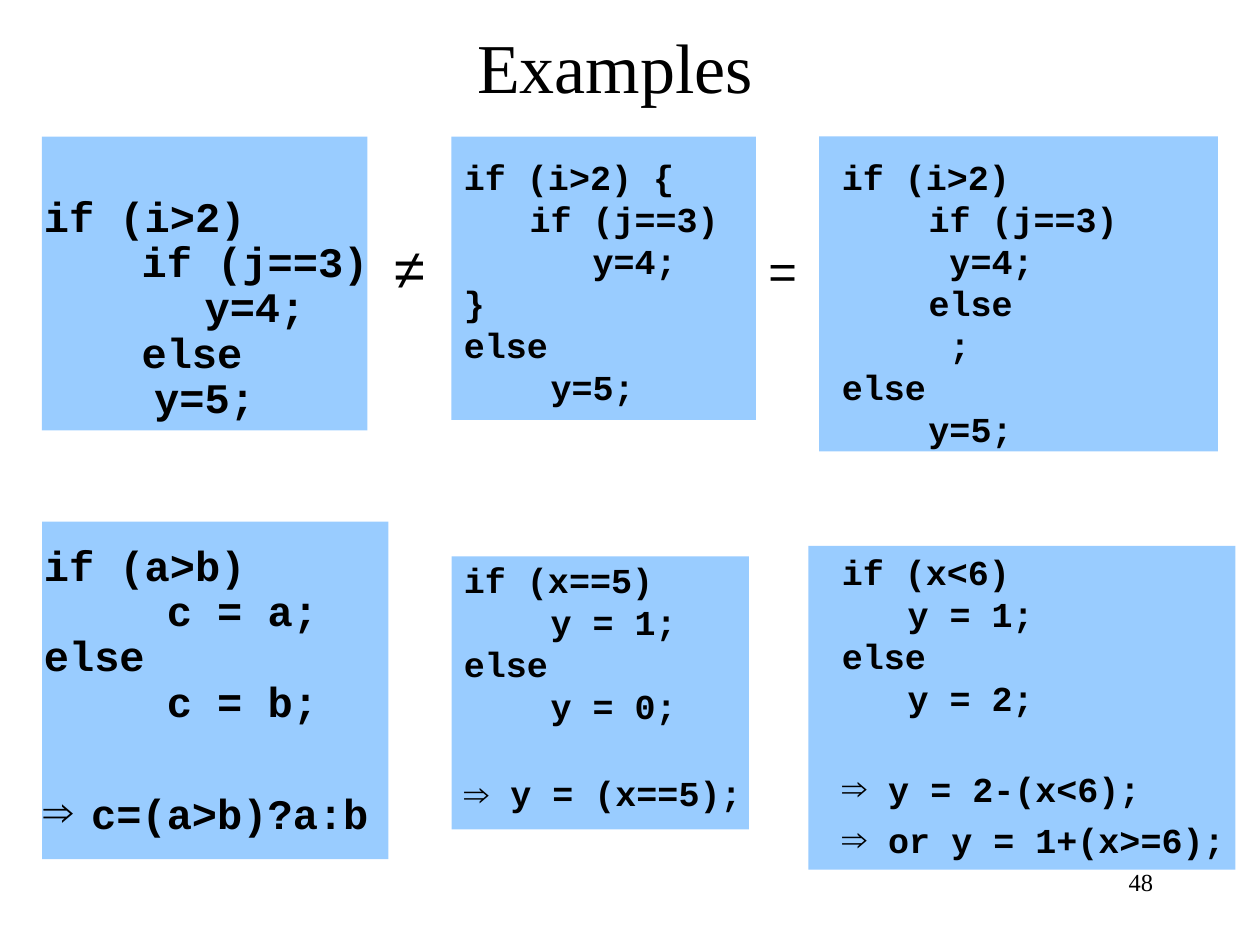
from dataclasses import dataclass

from lxml.etree import SubElement
from pptx import Presentation
from pptx.dml.color import RGBColor
from pptx.enum.shapes import MSO_SHAPE
from pptx.enum.text import MSO_ANCHOR, PP_ALIGN
from pptx.oxml.ns import qn
from pptx.slide import Slide
from pptx.text.text import Font, TextFrame
from pptx.util import Pt

BLACK = RGBColor(0x00, 0x00, 0x00)
PANEL_BLUE = RGBColor(0x99, 0xCC, 0xFF)
CODE_FONT = "Courier New"
SYMBOL_FONT = "Arial"
TITLE_FONT = "Times New Roman"
ARROW = "⇒"
TAB_STEP = 72


@dataclass(frozen=True)
class Area:
    left: float
    top: float
    width: float
    height: float


@dataclass(frozen=True)
class CodeStyle:
    size: float
    line: float
    indent: float
    gap: float


@dataclass(frozen=True)
class Snippet:
    panel: Area
    text: Area
    style: CodeStyle
    code: tuple[str, ...]
    results: tuple[str, ...] = ()
    result_gap: float = 0
    bulleted: bool = True


@dataclass(frozen=True)
class Label:
    area: Area
    text: str
    font: str
    size: float
    align: PP_ALIGN
    anchor: MSO_ANCHOR = MSO_ANCHOR.TOP
    wrap: bool = True


LARGE = CodeStyle(size=24, line=25.92, indent=27, gap=6)
SMALL = CodeStyle(size=20, line=24, indent=13.5, gap=5)

SNIPPETS = (
    Snippet(
        Area(24, 78, 186, 168), Area(18, 108, 210, 138), LARGE,
        ("if (i>2)", "\t  if (j==3)", "\t\t  y=4;", "\t  else", "\t\ty=5;"),
    ),
    Snippet(
        Area(258, 78, 174, 162), Area(258, 85.5, 204, 152), SMALL,
        ("if (i>2) {", "\t  if (j==3)", "\t\t  y=4;", "}", "else", "\t   y=5;"),
    ),
    Snippet(
        Area(468, 78, 228, 180), Area(474, 85.5, 246, 176), SMALL,
        ("if (i>2)", "\t   if (j==3)", "\t\t y=4;", "\t   else", "\t\t ;",
         "else", "\t\ty=5;"),
    ),
    Snippet(
        Area(24, 298, 198, 193), Area(18, 307.5, 210, 176), LARGE,
        ("if (a>b)", "\t   c = a;", "else", "\t   c = b;"),
        ("c=(a>b)?a:b",), 38,
    ),
    Snippet(
        Area(258, 318, 170, 156), Area(258, 315.8, 204, 154), SMALL,
        ("if (x==5)", "\t   y = 1;", "else", "\t   y = 0;"),
        (" y = (x==5);",), 25.7, bulleted=False,
    ),
    Snippet(
        Area(462, 312, 244, 185), Area(474, 311.2, 246, 188), SMALL,
        ("if (x<6)", "\t  y = 1;", "else", "\t  y = 2;"),
        (" y = 2-(x<6);", " or y = 1+(x>=6);"), 28,
    ),
)

LABELS = (
    Label(Area(241, 9.4, 221, 56), "Examples", TITLE_FONT, 40,
          PP_ALIGN.CENTER, MSO_ANCHOR.MIDDLE),
    Label(Area(210, 129.6, 48, 46), "≠", SYMBOL_FONT, 32, PP_ALIGN.CENTER),
    Label(Area(432, 134, 30, 41), "=", SYMBOL_FONT, 28, PP_ALIGN.LEFT, wrap=False),
    Label(Area(516, 492, 150, 36), "48", TITLE_FONT, 14, PP_ALIGN.RIGHT),
)


def corners(area: Area) -> tuple[Pt, Pt, Pt, Pt]:
    return Pt(area.left), Pt(area.top), Pt(area.width), Pt(area.height)


def set_font(font: Font, name: str, size: float, bold: bool = False) -> None:
    font.name = name
    font.size = Pt(size)
    font.bold = bold
    font.color.rgb = BLACK


def draw_panel(page: Slide, area: Area) -> None:
    panel = page.shapes.add_shape(MSO_SHAPE.RECTANGLE, *corners(area))
    panel.shadow.inherit = False
    panel.fill.solid()
    panel.fill.fore_color.rgb = PANEL_BLUE
    panel.line.fill.background()


def draw_label(page: Slide, label: Label) -> None:
    frame = page.shapes.add_textbox(*corners(label.area)).text_frame
    frame.word_wrap = label.wrap
    frame.vertical_anchor = label.anchor
    para = frame.paragraphs[0]
    para.text = label.text
    para.alignment = label.align
    set_font(para.font, label.font, label.size)


def add_code_line(frame: TextFrame, text: str, style: CodeStyle, first: bool,
                  gap: float = 0, bullet: bool = False, arrow: bool = False) -> None:
    para = frame.paragraphs[0] if first else frame.add_paragraph()
    properties = para._p.get_or_add_pPr()
    properties.set("marL", str(Pt(style.indent)))
    properties.set("indent", str(-Pt(style.indent)))
    if bullet:
        colour = SubElement(properties, qn("a:buClr"))
        SubElement(colour, qn("a:srgbClr"), val=str(BLACK))
        SubElement(properties, qn("a:buFont"), typeface=SYMBOL_FONT)
        SubElement(properties, qn("a:buChar"), char=ARROW)
    else:
        SubElement(properties, qn("a:buNone"))
    tabs = SubElement(properties, qn("a:tabLst"))
    start = 1 if bullet else 0
    for stop in range(start, start + 8):
        SubElement(tabs, qn("a:tab"), pos=str(Pt(stop * TAB_STEP)), algn="l")
    para.line_spacing = Pt(style.line)
    para.space_before = Pt(gap)
    if arrow:
        for piece, font in ((ARROW, SYMBOL_FONT), (text, CODE_FONT)):
            span = para.add_run()
            span.text = piece
            set_font(span.font, font, style.size, bold=True)
    else:
        para.add_run().text = text
        set_font(para.font, CODE_FONT, style.size, bold=True)


def draw_code(page: Slide, snippet: Snippet) -> None:
    frame = page.shapes.add_textbox(*corners(snippet.text)).text_frame
    frame.word_wrap = True
    for index, line in enumerate(snippet.code):
        add_code_line(frame, line, snippet.style, first=index == 0)
    for index, line in enumerate(snippet.results):
        gap = snippet.style.gap if index else snippet.result_gap
        add_code_line(frame, line, snippet.style, False, gap,
                      bullet=snippet.bulleted, arrow=not snippet.bulleted)


def main() -> None:
    deck = Presentation()
    deck.slide_width, deck.slide_height = Pt(720), Pt(540)
    page = deck.slides.add_slide(deck.slide_layouts[6])
    for snippet in SNIPPETS:
        draw_panel(page, snippet.panel)
    for snippet in SNIPPETS:
        draw_code(page, snippet)
    for label in LABELS:
        draw_label(page, label)
    deck.save("out.pptx")


if __name__ == "__main__":
    main()
